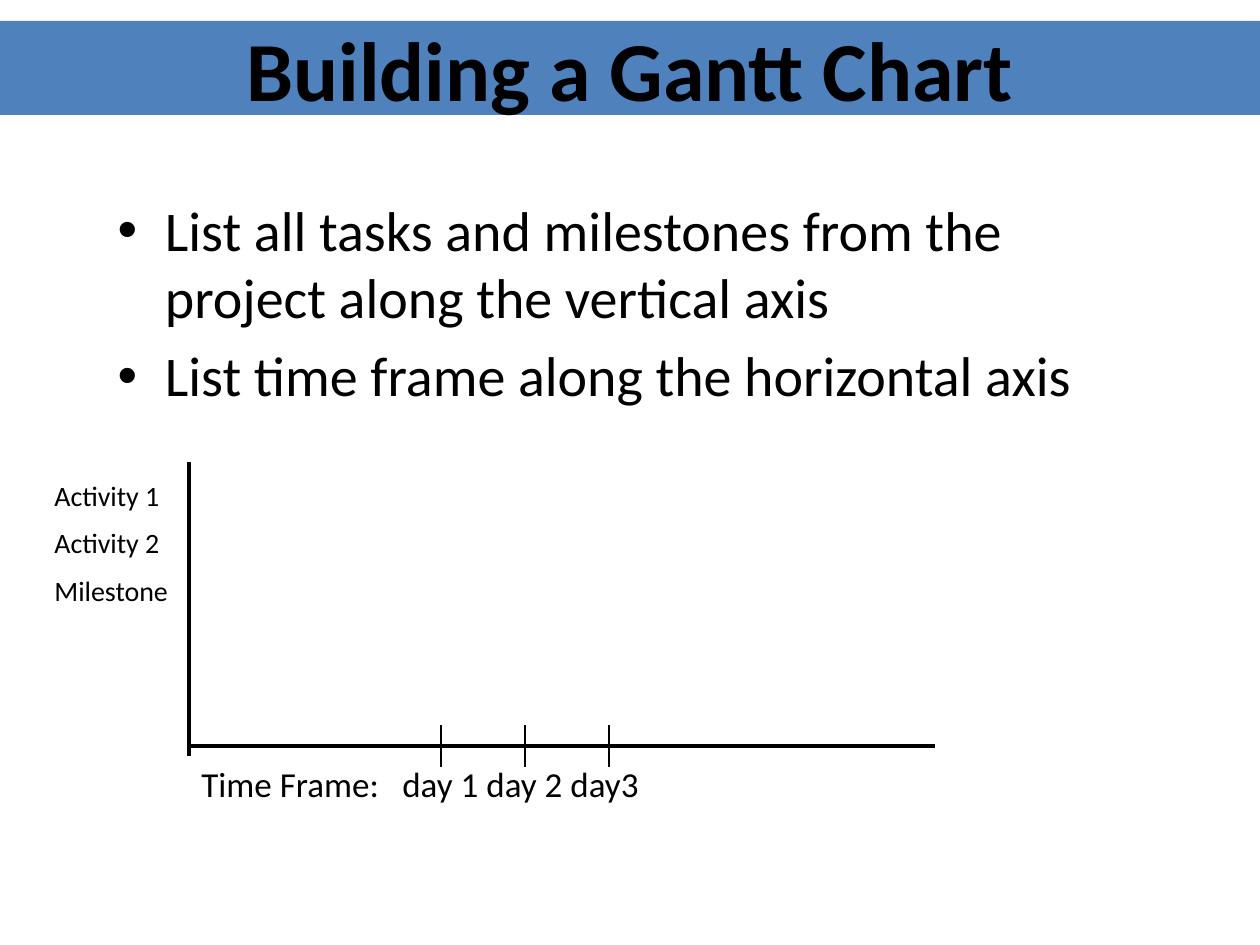
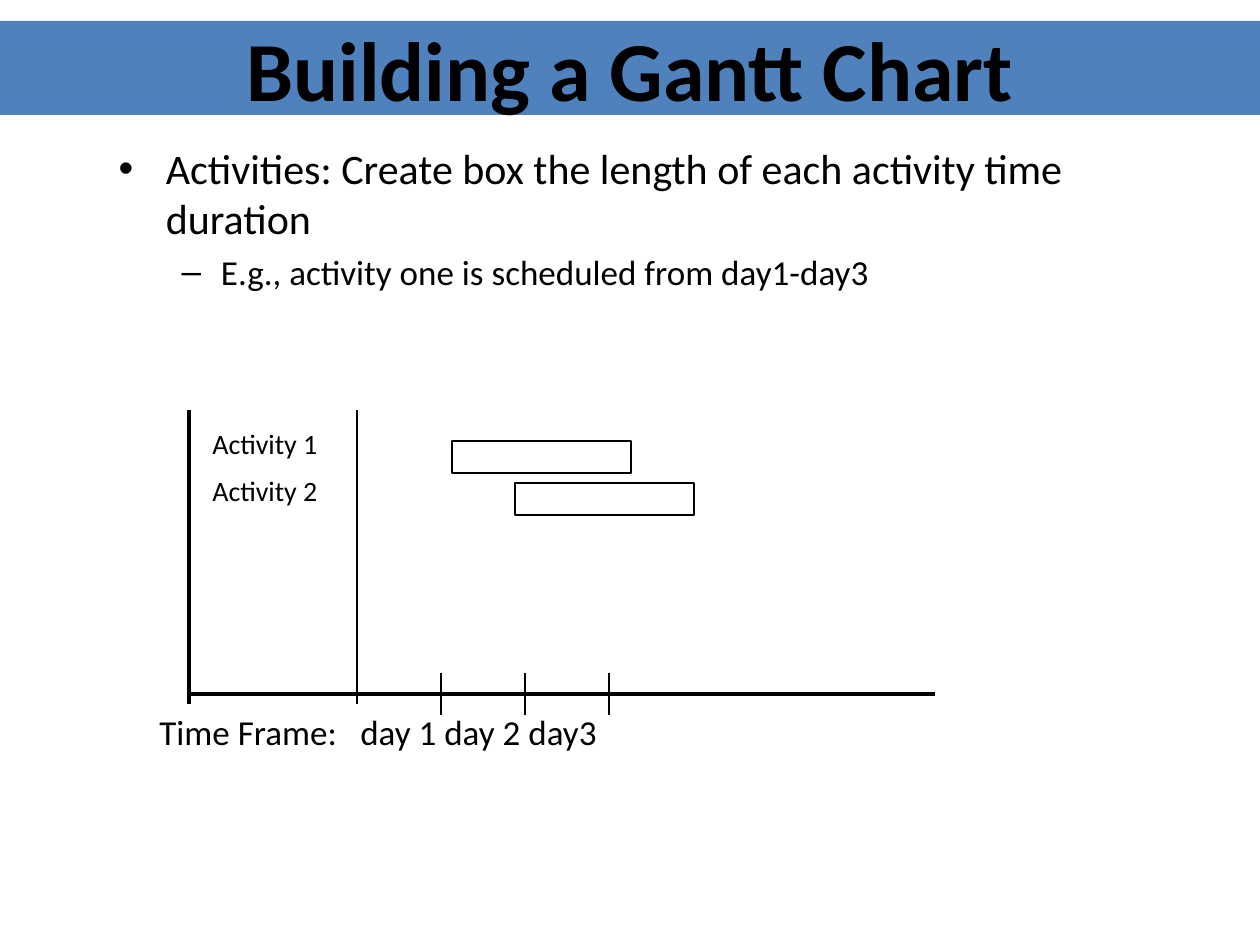
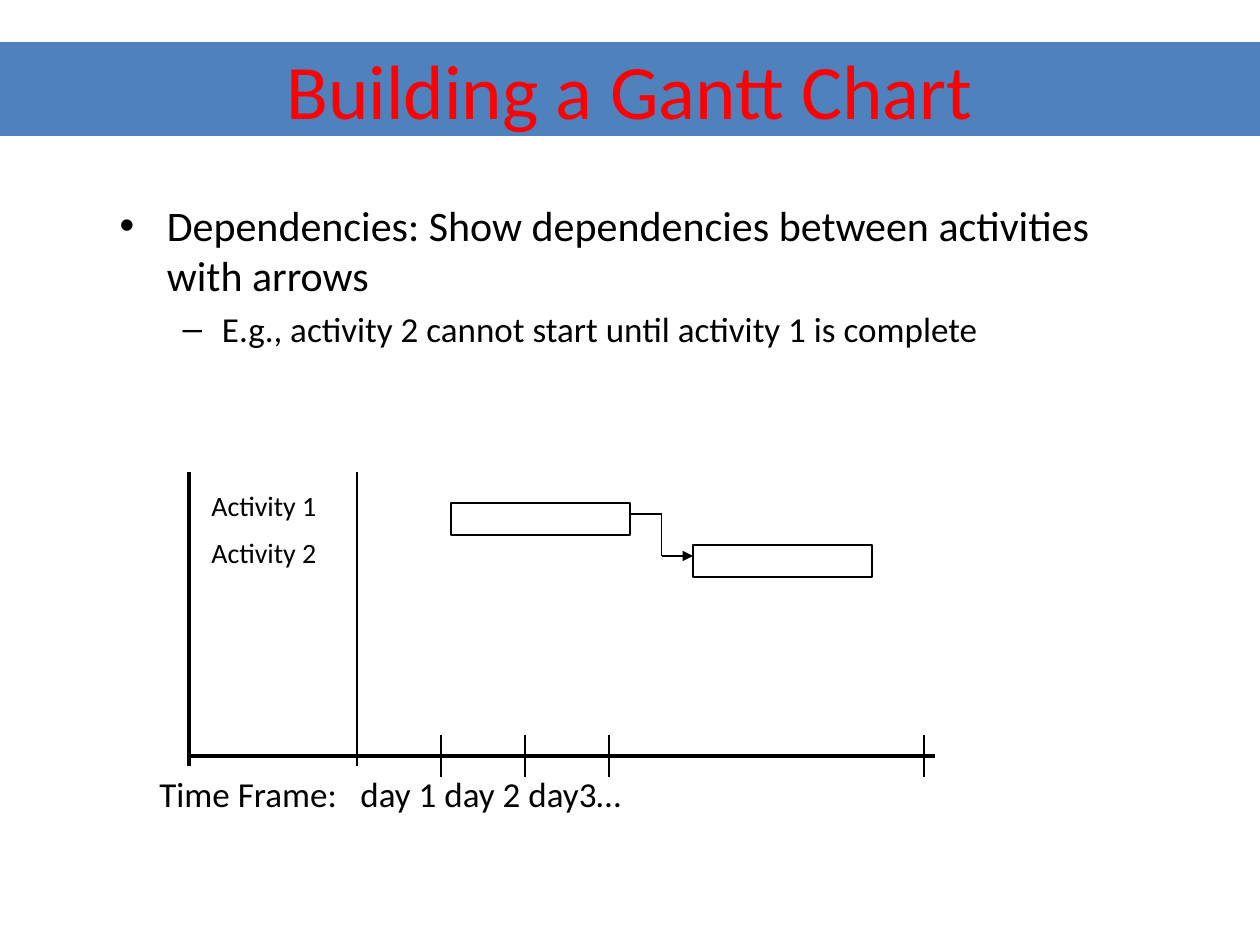
from itertools import pairwise
from lxml import etree
from pptx import Presentation
from pptx.dml.color import RGBColor
from pptx.enum.shapes import MSO_CONNECTOR, MSO_SHAPE
from pptx.enum.text import MSO_ANCHOR, MSO_AUTO_SIZE, PP_ALIGN
from pptx.oxml.ns import qn
from pptx.util import Emu, Pt

STRAIGHT, RECT = MSO_CONNECTOR.STRAIGHT, MSO_SHAPE.RECTANGLE
MIDDLE, CENTER = MSO_ANCHOR.MIDDLE, PP_ALIGN.CENTER
NO_FIT, GROW = MSO_AUTO_SIZE.NONE, MSO_AUTO_SIZE.SHAPE_TO_FIT_TEXT

BLUE = RGBColor(0x4F, 0x81, 0xBD)
BLACK = RGBColor(0, 0, 0)
RED = RGBColor(0xFF, 0, 0)
FONT = "Calibri"
TITLE = "Building a Gantt Chart"
BOLD_TITLE = dict(size=Pt(48), bold=True, color=BLACK)
RED_TITLE = dict(size=Pt(44), bold=False, color=RED)

# Content: bullets are (level, size, text); bars are left edges, one per row
SLIDES = [
    dict(band_top=21, title=BOLD_TITLE, body=(105, 189), chart_top=462,
         bullets=[(0, 32, "List all tasks and milestones from the project along the vertical axis"),
                  (0, 32, "List time frame along the horizontal axis")],
         labels=["Activity 1", "Activity 2", "Milestone"], label_left=42,
         days="day 1 day 2 day3", time_box=(189, 766),
         ticks=3, end_tick=False, divider=False, bars=[], linked=False),
    dict(band_top=21, title=BOLD_TITLE, body=(106, 136), chart_top=410,
         bullets=[(0, 24, "Activities: Create box the length of each activity time duration"),
                  (1, 20, "E.g., activity one is scheduled from day1-day3")],
         labels=["Activity 1", "Activity 2"], label_left=200,
         days="day 1 day 2 day3", time_box=(147, 809),
         ticks=3, end_tick=False, divider=True, bars=[452, 515], linked=False),
    dict(band_top=42, title=RED_TITLE, body=(107, 193), chart_top=472,
         bullets=[(0, 24, "Dependencies: Show dependencies between activities with arrows"),
                  (1, 20, "E.g., activity 2 cannot start until activity 1 is complete")],
         labels=["Activity 1", "Activity 2"], label_left=199,
         days="day 1 day 2 day3…", time_box=(147, 861),
         ticks=3, end_tick=True, divider=True, bars=[451, 693], linked=True),
]

# Chart geometry in pixels; heights count from the top of the vertical axis
AXIS_X, AXIS_END, AXIS_H, BASE = 189, 935, 294, 284
DIVIDER_X, TICK_X, TICK_STEP, TICK_HALF, END_TICK_X = 357, 441, 84, 21, 924
BAR_W, BAR_H, BAR_TOP, ROW_STEP, LINK_DROP = 179, 32, 31, 42, 11
DAYS_TAB = 201


def px(n):
    return Emu(round(n * 914400 / 126))


def place(shape, *box):
    for name, n in zip(("left", "top", "width", "height"), box):
        setattr(shape, name, px(n))


def style(r, color=BLACK, **values):
    for name, value in dict(values, name=FONT).items():
        setattr(r.font, name, value)
    r.font.color.rgb = color


def add_line(s, x1, y1, x2, y2, width=0.75, arrow=False):
    line = s.shapes.add_connector(STRAIGHT, px(x1), px(y1), px(x2), px(y2))
    line.line.color.rgb = BLACK
    line.line.width = Pt(width)
    if arrow:
        etree.SubElement(line.line._get_or_add_ln(), qn("a:tailEnd"), type="triangle")
    etree.SubElement(line._element.spPr, qn("a:effectLst"))


def add_text(s, box, lines, size):
    tf = s.shapes.add_textbox(*map(px, box)).text_frame
    tf.word_wrap, tf.auto_size = True, GROW
    for i, text in enumerate(lines):
        p = tf.add_paragraph() if i else tf.paragraphs[0]
        if i:
            p.space_before = Pt(size / 2)
        r = p.add_run()
        r.text = text
        style(r, size=Pt(size))
    return tf


def add_title(s, band_top, font):
    sp = s.shapes.title
    place(sp, 0, band_top, 1260, 94)
    sp.fill.solid()
    sp.fill.fore_color.rgb = BLUE
    tf = sp.text_frame
    tf.auto_size, tf.vertical_anchor = NO_FIT, MIDDLE
    p = tf.paragraphs[0]
    p.alignment = CENTER
    r = p.add_run()
    r.text = TITLE
    style(r, **font)


def add_bullets(s, corner, bullets):
    sp = s.placeholders[1]
    place(sp, *corner, 1071, 567)
    tf = sp.text_frame
    tf.auto_size = NO_FIT
    for i, (level, size, text) in enumerate(bullets):
        p = tf.add_paragraph() if i else tf.paragraphs[0]
        p.level = level
        r = p.add_run()
        r.text = text
        style(r, size=Pt(size))


def add_gantt(s, d):
    top = d["chart_top"]
    base = top + BASE

    # Axes and their labels
    add_line(s, AXIS_X, top, AXIS_X, top + AXIS_H, 2.25)
    add_line(s, AXIS_X, base, AXIS_END, base, 2.25)
    add_text(s, (d["label_left"], top + 10, 168, 147), d["labels"], 16)
    left, width = d["time_box"]
    tf = add_text(s, (left, top + AXIS_H, width, 54), ["Time Frame:\t" + d["days"]], 20)
    tabs = etree.SubElement(tf.paragraphs[0]._p.get_or_add_pPr(), qn("a:tabLst"))
    etree.SubElement(tabs, qn("a:tab"), pos=str(px(DAYS_TAB)), algn="l")

    # Day ticks and label column
    ticks = [TICK_X + i * TICK_STEP for i in range(d["ticks"])]
    for x in ticks + [END_TICK_X] * d["end_tick"]:
        add_line(s, x, base - TICK_HALF, x, base + TICK_HALF)
    if d["divider"]:
        add_line(s, DIVIDER_X, top, DIVIDER_X, top + AXIS_H)

    # Activity bars
    rows = [top + BAR_TOP + i * ROW_STEP for i in range(len(d["bars"]))]
    for x, y in zip(d["bars"], rows):
        bar = s.shapes.add_shape(RECT, px(x), px(y), px(BAR_W), px(BAR_H))
        bar.shadow.inherit = False
        bar.fill.background()
        bar.line.color.rgb = BLACK
        bar.line.width = Pt(0.75)

    # Dependency arrow from the end of one bar to the start of the next
    if d["linked"]:
        start, end = d["bars"][0] + BAR_W, d["bars"][1]
        y1, y2 = (y + LINK_DROP for y in rows)
        mid = (start + end) / 2
        route = [(start, y1), (mid, y1), (mid, y2), (end, y2)]
        for a, b in pairwise(route):
            add_line(s, *a, *b, arrow=b == route[-1])


prs = Presentation()
prs.slide_width, prs.slide_height = px(1260), px(945)
for d in SLIDES:
    s = prs.slides.add_slide(prs.slide_layouts[1])
    add_title(s, d["band_top"], d["title"])
    add_bullets(s, d["body"], d["bullets"])
    add_gantt(s, d)
prs.save("out.pptx")
